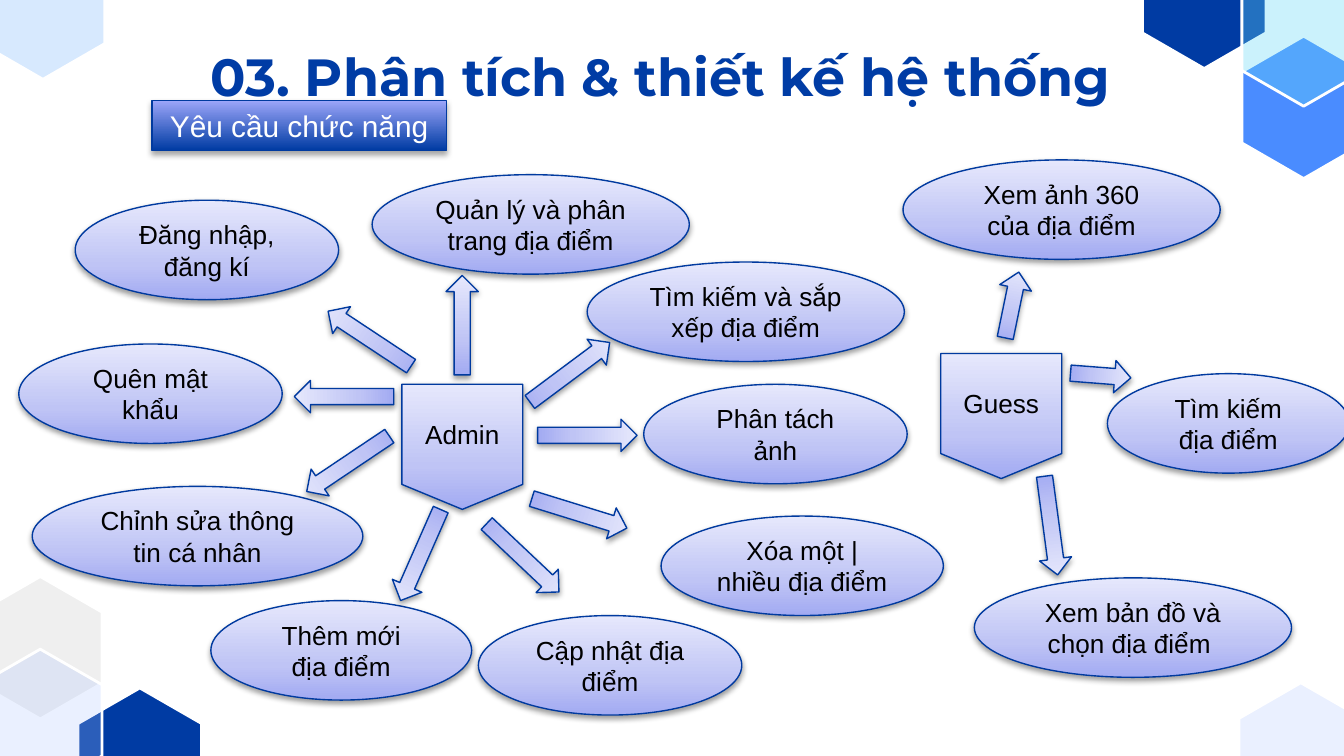
from lxml.etree import SubElement
from pptx import Presentation
from pptx.dml.color import RGBColor
from pptx.enum.shapes import MSO_SHAPE
from pptx.enum.text import MSO_ANCHOR, MSO_AUTO_SIZE, PP_ALIGN
from pptx.oxml import parse_xml
from pptx.oxml.ns import nsdecls, qn
from pptx.util import Pt

COLORS = {
    "title": "003CA5", "outline": "003A9F", "white": "FFFFFF", "black": "000000",
    "navy": "003BA3", "blue": "4A8CFF", "cyan": "68DAF8", "sky": "9FCBFD",
    "lavender": "AFC7FF", "grey": "EFEFEF", "violet": "9BA5F9",
    "dark": "A2AAF2", "middle": "BFC4F5", "light": "E6E8FC",
}
LABEL_STOPS = [(0, "navy"), (100, "violet")]
NODE_STOPS = [(0, "dark"), (35, "middle"), (100, "light")]
NODE_HEIGHT = 53.3
ARROW_WIDTH = 17.3


def add_glossy_shape(kind, left, top, width, height, stops=NODE_STOPS, shadow=(38, 1.6)):
    """Add an outlined shape with an upward gradient and a soft shadow below."""
    shape = slide.shapes.add_shape(kind, Pt(left), Pt(top), Pt(width), Pt(height))
    shape.line.color.rgb = RGBColor.from_string(COLORS["outline"])
    shape.line.width = Pt(0.75)
    shape.shadow.inherit = False
    properties = shape.element.spPr
    stop_xml = "".join(
        f'<a:gs pos="{position * 1000}"><a:srgbClr val="{COLORS[name]}"/></a:gs>'
        for position, name in stops)
    properties.insert(2, parse_xml(
        f'<a:gradFill {nsdecls("a")} rotWithShape="1"><a:gsLst>{stop_xml}</a:gsLst>'
        '<a:lin ang="16200000" scaled="0"/></a:gradFill>'))
    opacity, distance = shadow
    properties.find(qn("a:effectLst")).append(parse_xml(
        f'<a:outerShdw {nsdecls("a")} blurRad="{Pt(3.1)}" dist="{Pt(distance)}" dir="5400000" '
        f'rotWithShape="0"><a:srgbClr val="{COLORS["black"]}">'
        f'<a:alpha val="{opacity * 1000}"/></a:srgbClr></a:outerShdw>'))
    return shape


def write_text(shape, text, size, color, font="Arial", bold=False, anchor=MSO_ANCHOR.MIDDLE):
    frame = shape.text_frame
    frame.word_wrap = True
    frame.vertical_anchor = anchor
    para = frame.paragraphs[0]
    para.alignment = PP_ALIGN.CENTER
    span = para.add_run()
    span.text = text
    span.font.name = font
    span.font.size = Pt(size)
    span.font.bold = bold
    span.font.color.rgb = RGBColor.from_string(COLORS[color])
    return para


deck = Presentation()
deck.slide_width, deck.slide_height = Pt(720), Pt(405)
slide = deck.slides.add_slide(deck.slide_layouts[5])

# Corner hexagons: left, top, colour, opacity in percent
hexagons = [
    (41.8, 368.6, "navy", 100), (-11.5, 308.9, "grey", 100),
    (-11.5, 347.8, "lavender", 25), (663.8, 365.8, "lavender", 25),
    (-10.1, -33.8, "sky", 41), (612, -39.6, "navy", 100),
    (665.3, 19.4, "blue", 100), (665.3, -19.4, "cyan", 34),
]
hexagon_corners = [(0.5, 0), (0, 0.25), (0, 0.75), (0.5, 1), (1, 0.75), (1, 0.25)]
for left, top, color, opacity in hexagons:
    points = [(Pt(left + 66.2 * x), Pt(top + 76.3 * y)) for x, y in hexagon_corners]
    builder = slide.shapes.build_freeform(*points[0])
    builder.add_line_segments(points[1:], close=True)
    hexagon = builder.convert_to_shape()
    hexagon.shadow.inherit = False
    hexagon.fill.solid()
    hexagon.fill.fore_color.rgb = RGBColor.from_string(COLORS[color])
    hexagon.line.color.rgb = RGBColor.from_string(COLORS["white"])
    hexagon.line.width = Pt(1.5)
    if opacity < 100:
        fill_color = hexagon.element.spPr.find(qn("a:solidFill"))[0]
        SubElement(fill_color, qn("a:alpha")).set("val", str(opacity * 1000))

# Title and section label
title = slide.shapes.title
title.left, title.top, title.width, title.height = Pt(49.7), Pt(0), Pt(608.4), Pt(47.5)
title_frame = title.text_frame
title_frame.auto_size = MSO_AUTO_SIZE.NONE
title_frame.margin_left = title_frame.margin_right = Pt(7.2)
title_frame.margin_top = title_frame.margin_bottom = Pt(7.2)
title_para = write_text(title, "03. Phân tích & thiết kế hệ thống", 28, "title", "Montserrat", True)
title_para.line_spacing = Pt(67.2)
title_para.space_before = title_para.space_after = Pt(6)

label = add_glossy_shape(MSO_SHAPE.RECTANGLE, 81.4, 54, 157.7, 26.6, LABEL_STOPS, (35, 1.8))
write_text(label, "Yêu cầu chức năng", 16, "white", anchor=MSO_ANCHOR.TOP)

# Actors
for name, left, top in [("Admin", 215.3, 205.9), ("Guess", 504, 189.4)]:
    actor = add_glossy_shape(MSO_SHAPE.FLOWCHART_OFFPAGE_CONNECTOR, left, top, 64.8, 67)
    write_text(actor, name, 14, "black")

# Functions: text, left, top, width
functions = [
    ("Đăng nhập, đăng kí", 40.3, 107.3, 141.1),
    ("Quên mật khẩu", 10.1, 184.3, 141.1),
    ("Chỉnh sửa thông tin cá nhân", 17.3, 260.6, 177.1),
    ("Quản lý và phân trang địa điểm", 199.4, 93.6, 169.9),
    ("Tìm kiếm và sắp xếp địa điểm", 314.6, 140.4, 169.9),
    ("Phân tách ảnh", 344.9, 205.9, 141.1),
    ("Thêm mới địa điểm", 113, 321.8, 139.7),
    ("Xem bản đồ và chọn địa điểm ", 522, 309.6, 169.9),
    ("Cập nhật địa điểm", 256.3, 329.8, 141.1),
    ("Xóa một | nhiều địa điểm", 354.2, 276.5, 151.2),
    ("Tìm kiếm địa điểm", 593.3, 200.2, 129.6),
    ("Xem ảnh 360 của địa điểm", 483.8, 85.7, 169.9),
]
for text, left, top, width in functions:
    function_node = add_glossy_shape(MSO_SHAPE.OVAL, left, top, width, NODE_HEIGHT)
    write_text(function_node, text, 14, "black")

# Arrows from actors to functions: left, top, length, rotation
arrows = [
    (239, 147.6, 53.3, 0), (177.8, 221.8, 53.3, 236.1), (175.7, 185.8, 53.3, 270),
    (216.7, 270.7, 53.3, 203.8), (296.6, 172.8, 53.3, 53.3), (306, 206.6, 53.3, 90),
    (301.7, 248.4, 53.3, 107.2), (271.4, 272.2, 53.3, 133.4), (189.4, 154.8, 53.3, 303.5),
    (533.5, 145.4, 36, 11.6), (581, 185, 32.4, 94.5), (554.4, 254.9, 53.3, 172.4),
]
for left, top, length, rotation in arrows:
    arrow = add_glossy_shape(MSO_SHAPE.UP_ARROW, left, top, ARROW_WIDTH, length)
    arrow.rotation = rotation

deck.save("out.pptx")
